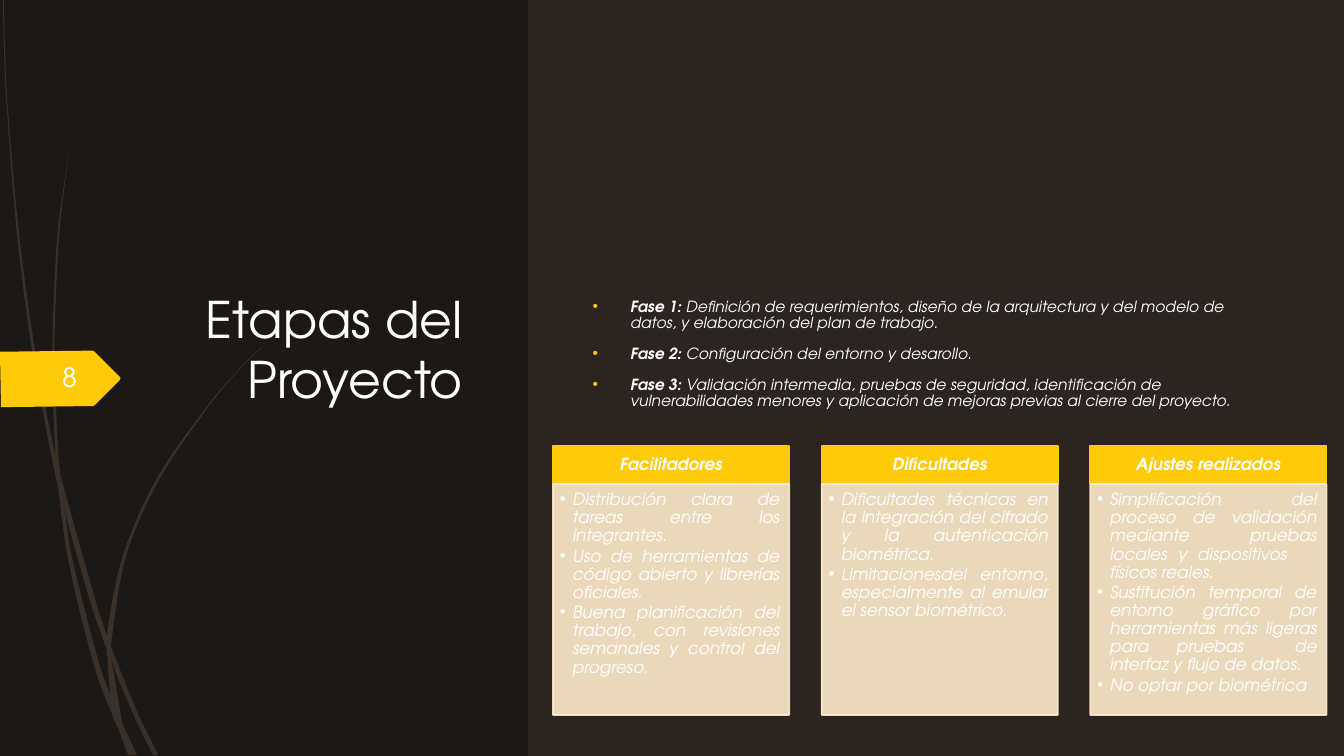
from dataclasses import dataclass

from lxml import etree
from pptx import Presentation, util as u
from pptx.dml.color import RGBColor
from pptx.enum import shapes, text
from pptx.oxml.ns import qn

Point = tuple[float, float]


@dataclass(frozen=True)
class Theme:
    font: str = "TeX Gyre Adventor"
    white: str = "FFFFFF"
    back: str = "39302A"
    left_panel: str = "1C1815"
    right_panel: str = "2B2420"
    gold: str = "FFCA08"
    cream: str = "FFECCC"
    title: float = 36
    number: float = 19
    card: float = 12
    phase: float = 11


@dataclass(frozen=True)
class Wisp:
    """One strand of grass: its two edges, in hundredths of an inch."""
    down: list[Point]
    back: list[Point]


@dataclass(frozen=True)
class Phase:
    label: str
    detail: str


@dataclass(frozen=True)
class Card:
    heading: str
    items: list[str]


T = Theme()
UNIT = u.Pt(0.72)
FINE = 100
CARD_LEFT, CARD_PITCH, CARD_WIDTH = 395, 191.9, 168.7
HEAD_TOP, HEAD_HEIGHT, BODY_HEIGHT = 318.8, 27, 164.9

WISPS = [
    Wisp([(3, 0), (4, 48), (7, 110), (17, 233), (33, 355), (56, 477), (57, 481)],
         [(55, 457), (55, 453), (36, 355), (19, 232), (8, 109), (5, 48), (4, 0)]),
    Wisp([(60, 472), (64, 505), (88, 592), (106, 645)],
         [(106, 633), (106, 631), (93, 590), (60, 472)]),
    Wisp([(110, 641), (111, 656), (132, 708), (152, 749)],
         [(157, 749), (136, 706), (113, 649), (110, 641)]),
    Wisp([(57, 477), (68, 557), (93, 659), (111, 708), (117, 722)],
         [(116, 717), (110, 691), (98, 657), (72, 556), (64, 505), (57, 477)]),
    Wisp([(70, 141), (62, 193), (56, 245), (52, 349), (55, 449), (60, 472)],
         [(58, 453), (54, 349), (58, 245), (63, 193), (70, 141)]),
    Wisp([(122, 719), (133, 749)], [(136, 749), (122, 719)]),
    Wisp([(55, 449), (55, 453), (57, 477), (64, 505)],
         [(60, 472), (55, 449)]),
    Wisp([(260, 344), (245, 358), (231, 373), (204, 405), (156, 474), (122, 551),
          (106, 631), (110, 641)],
         [(111, 633), (125, 552), (158, 476), (205, 406), (231, 374), (245, 359),
          (261, 344)]),
    Wisp([(117, 722), (127, 749)], [(131, 749), (117, 722)]),
    Wisp([(106, 645), (110, 691), (116, 706), (122, 719)],
         [(121, 716), (111, 656), (109, 651), (106, 645)]),
    Wisp([(106, 631), (106, 645), (109, 651), (111, 656)],
         [(110, 641), (106, 631)]),
    Wisp([(110, 691), (116, 717), (117, 722), (130, 749)],
         [(133, 749), (122, 719), (116, 706), (110, 691)]),
]
TAG = [(0, 349), (82, 348), (92, 348), (94, 349), (119, 374), (119.5, 375.5),
       (119, 377), (94, 402), (92, 403), (82, 403), (1, 404)]

PHASES = [
    Phase("Fase 1: ", "Definición de requerimientos, diseño de la arquitectura y del "
          "modelo de datos, y elaboración del plan de trabajo."),
    Phase("Fase 2: ", "Configuración del entorno y desarollo."),
    Phase("Fase 3: ", "Validación intermedia, pruebas de seguridad, identificación de "
          "vulnerabilidades menores y aplicación de mejoras previas al cierre del proyecto."),
]
CARDS = [
    Card("Facilitadores", [
        "Distribución clara de tareas entre los integrantes.",
        "Uso de herramientas de código abierto y librerías oficiales.",
        "Buena planificación del trabajo, con revisiones semanales y control del progreso."]),
    Card("Dificultades", [
        "Dificultades técnicas en la integración del cifrado y la autenticación biométrica.",
        "Limitacionesdel entorno, especialmente al emular el sensor biométrico."]),
    Card("Ajustes realizados", [
        "Simplificación del proceso de validación mediante pruebas locales y "
        "dispositivos \tfísicos reales.",
        "Sustitución temporal de entorno gráfico por herramientas más ligeras para "
        "pruebas \tde interfaz y flujo de datos.",
        "No optar por biométrica"]),
]


def smooth(points: list[Point], steps: int = 8) -> list[Point]:
    """Sample a Catmull-Rom curve through the points."""
    padded = [points[0], *points, points[-1]]
    curve = [points[0]]
    for a, b, c, d in zip(padded, padded[1:], padded[2:], padded[3:]):
        for t in (i / steps for i in range(1, steps + 1)):
            curve.append(tuple(
                (2 * q + (r - p) * t + (2 * p - 5 * q + 4 * r - s) * t**2
                 + (3 * q - p - 3 * r + s) * t**3) / 2
                for p, q, r, s in zip(a, b, c, d)))
    return curve


def set_alpha(color_format, percent: int) -> None:
    for clr in color_format.iter(qn("a:srgbClr")):
        etree.SubElement(clr, qn("a:alpha")).set("val", str(percent * 1000))


def paint(sp, color: str, outlined: bool = False) -> None:
    sp.shadow.inherit = False
    sp.fill.solid()
    sp.fill.fore_color.rgb = RGBColor.from_string(color)
    if outlined:
        sp.line.color.rgb = RGBColor.from_string(color)
        sp.line.width = u.Pt(1.25)
    else:
        sp.line.fill.background()


def add_outline(tree, points: list[Point], color: str) -> None:
    (x, y), *rest = [(round(x * FINE), round(y * FINE)) for x, y in points]
    builder = tree.build_freeform(x, y, scale=UNIT / FINE)
    builder.add_line_segments(rest)
    paint(builder.convert_to_shape(), color)


def add_rect(s, x: float, y: float, w: float, h: float, color: str, outlined: bool = False):
    sp = s.shapes.add_shape(shapes.MSO_SHAPE.RECTANGLE, u.Pt(x), u.Pt(y), u.Pt(w), u.Pt(h))
    paint(sp, color, outlined)
    return sp


def add_box(s, x: float, y: float, w: float, h: float):
    return s.shapes.add_textbox(u.Pt(x), u.Pt(y), u.Pt(w), u.Pt(h)).text_frame


def set_frame(tf, insets: tuple[float, float, float, float], middle: bool = True) -> None:
    """Insets run left, top, right, bottom."""
    tf.word_wrap = True
    tf.vertical_anchor = text.MSO_ANCHOR.MIDDLE if middle else text.MSO_ANCHOR.TOP
    tf.margin_left, tf.margin_top, tf.margin_right, tf.margin_bottom = map(u.Pt, insets)


def style(r, size: float, bold: bool = False, italic: bool = False) -> None:
    r.font.name, r.font.size = T.font, u.Pt(size)
    r.font.bold, r.font.italic = bold, italic
    r.font.color.rgb = RGBColor.from_string(T.white)


def add_bullet(p, indent: float, color: str) -> None:
    pr = p._p.get_or_add_pPr()
    pr.set("marL", str(u.Pt(indent)))
    pr.set("indent", str(-u.Pt(indent)))
    etree.SubElement(etree.SubElement(pr, qn("a:buClr")), qn("a:srgbClr")).set("val", color)
    etree.SubElement(pr, qn("a:buFont")).set("typeface", "Arial")
    etree.SubElement(pr, qn("a:buChar")).set("char", "•")


def add_line(s, box: tuple[float, float, float, float], words: str, size: float,
             bottom: float) -> None:
    tf = add_box(s, *box)
    set_frame(tf, (7.2, 3.6, 7.2, bottom))
    tf.text = words
    tf.paragraphs[0].alignment = text.PP_ALIGN.RIGHT
    style(tf.paragraphs[0].runs[0], size)


def add_phases(s) -> None:
    tf = add_box(s, 416.2, 86.4, 489.6, 368.6)
    set_frame(tf, (7.2, 3.6, 7.2, 38.6))
    tf.text = "\n".join(phase.label for phase in PHASES)
    for i, (p, phase) in enumerate(zip(tf.paragraphs, PHASES)):
        add_bullet(p, 27, T.gold)
        p.line_spacing = 0.9
        p.space_before = u.Pt(10 if i else 0)
        style(p.runs[0], T.phase, bold=True, italic=True)
        r = p.add_run()
        r.text = phase.detail
        style(r, T.phase, italic=True)


def add_card(s, x: float, card: Card) -> None:
    head = add_rect(s, x, HEAD_TOP, CARD_WIDTH, HEAD_HEIGHT, T.gold, outlined=True)
    set_frame(head.text_frame, (6.7, 3.8, 6.7, 3.8))
    head.text_frame.text = card.heading
    p = head.text_frame.paragraphs[0]
    p.alignment, p.line_spacing = text.PP_ALIGN.CENTER, 0.9
    style(p.runs[0], T.card, bold=True, italic=True)

    body = add_rect(s, x, HEAD_TOP + HEAD_HEIGHT, CARD_WIDTH, BODY_HEIGHT, T.cream, outlined=True)
    set_alpha(body._element.spPr, 90)
    set_frame(body.text_frame, (5, 5, 6.7, 7.5), middle=False)
    body.text_frame.text = "\n".join(card.items)
    for p in body.text_frame.paragraphs:
        add_bullet(p, 9, T.white)
        p.alignment, p.line_spacing = text.PP_ALIGN.JUSTIFY, 0.9
        p.space_after = u.Pt(1.5)
        style(p.runs[0], T.card, italic=True)


def main() -> None:
    prs = Presentation()
    prs.slide_width, prs.slide_height = u.Pt(960), u.Pt(540)
    s = prs.slides.add_slide(prs.slide_layouts[6])
    s.background.fill.solid()
    s.background.fill.fore_color.rgb = RGBColor.from_string(T.back)

    add_rect(s, 0, 0, 377.3, 540, T.left_panel)
    grass = s.shapes.add_group_shape()
    for wisp in WISPS:
        add_outline(grass.shapes, smooth(wisp.down) + smooth(wisp.back), T.back)
    add_line(s, (95.8, 86.4, 241.9, 367.9), "Etapas del Proyecto", T.title, bottom=46.6)
    add_outline(s.shapes, TAG, T.gold)
    add_line(s, (15.1, 255.6, 46.8, 28.8), "8", T.number, bottom=5.6)
    add_rect(s, 377.3, 0, 582.7, 540, T.right_panel)
    add_phases(s)
    for i, card in enumerate(CARDS):
        add_card(s, CARD_LEFT + i * CARD_PITCH, card)
    prs.save("out.pptx")


if __name__ == "__main__":
    main()
